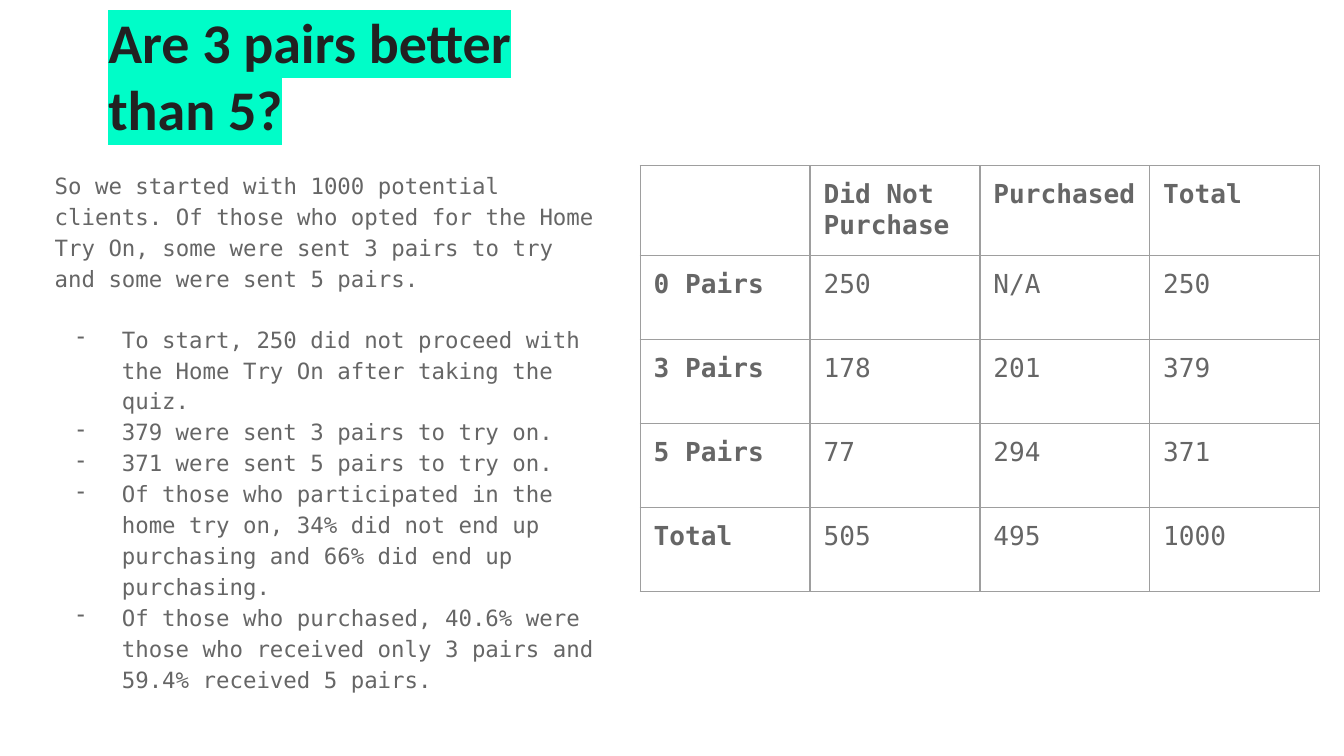
from dataclasses import dataclass

from lxml.etree import SubElement
from pptx import Presentation
from pptx.dml.color import RGBColor
from pptx.enum.text import MSO_ANCHOR as Anchor
from pptx.oxml.ns import qn
from pptx.util import Pt


@dataclass(frozen=True)
class Theme:
    title_font: str = "Calibri"
    body_font: str = "DejaVu Sans Mono"
    title_color: str = "212121"
    highlight: str = "00FDC8"
    text_color: str = "666666"
    border_color: str = "9E9E9E"
    title_size: float = 30
    body_size: float = 12
    table_size: float = 14
    inset: float = 7.2


THEME = Theme()

TITLE = "Are 3 pairs better than 5?"
INTRO = (
    "So we started with 1000 potential clients. Of those who opted for the "
    "Home Try On, some were sent 3 pairs to try and some were sent 5 pairs."
)
FINDINGS = [
    "To start, 250 did not proceed with the Home Try On after taking the quiz.",
    "379 were sent 3 pairs to try on.",
    "371 were sent 5 pairs to try on.",
    "Of those who participated in the home try on, 34% did not end up "
    "purchasing and 66% did end up purchasing.",
    "Of those who purchased, 40.6% were those who received only 3 pairs and "
    "59.4% received 5 pairs.",
]
RESULTS = [
    ["", "Did Not Purchase", "Purchased", "Total"],
    ["0 Pairs", "250", "N/A", "250"],
    ["3 Pairs", "178", "201", "379"],
    ["5 Pairs", "77", "294", "371"],
    ["Total", "505", "495", "1000"],
]


def style_font(paragraph, name, size, color, bold=False):
    font = paragraph.font
    font.name, font.size, font.bold = name, Pt(size), bold
    font.color.rgb = RGBColor.from_string(color)


def set_margins(item):
    """Give a text frame or a table cell the common inset."""
    item.margin_left = item.margin_right = Pt(THEME.inset)
    item.margin_top = item.margin_bottom = Pt(THEME.inset)


def add_color(parent, tag, color):
    element = SubElement(parent, qn(tag))
    SubElement(element, qn("a:srgbClr"), val=color)


def add_text_box(slide, left, top, width, height, anchor=Anchor.TOP):
    box = slide.shapes.add_textbox(Pt(left), Pt(top), Pt(width), Pt(height))
    frame = box.text_frame
    frame.word_wrap = True
    frame.vertical_anchor = anchor
    set_margins(frame)
    return frame


def add_title(slide):
    frame = add_text_box(slide, 51, 23, 240.5, 60, Anchor.BOTTOM)
    paragraph = frame.paragraphs[0]
    run = paragraph.add_run()
    run.text = TITLE
    style_font(paragraph, THEME.title_font, THEME.title_size, THEME.title_color, True)
    add_color(run.font._element, "a:highlight", THEME.highlight)


def add_dash(paragraph):
    properties = paragraph._p.get_or_add_pPr()
    properties.set("marL", str(Pt(36)))
    properties.set("indent", str(Pt(-24)))
    add_color(properties, "a:buClr", THEME.text_color)
    SubElement(properties, qn("a:buChar"), char="-")


def add_body(slide):
    frame = add_text_box(slide, 22.2, 83, 305.5, 304)
    for index, text in enumerate([INTRO, *FINDINGS]):
        paragraph = frame.add_paragraph() if index else frame.paragraphs[0]
        paragraph.text = text
        if index:
            add_dash(paragraph)
        if index == 1:
            paragraph.space_before = Pt(16)
        paragraph.line_spacing = 1.15
        style_font(paragraph, THEME.body_font, THEME.body_size, THEME.text_color)


def add_borders(cell):
    properties = cell._tc.get_or_add_tcPr()
    for tag in ("a:lnL", "a:lnR", "a:lnT", "a:lnB"):
        line = SubElement(properties, qn(tag), w=str(Pt(0.75)))
        add_color(line, "a:solidFill", THEME.border_color)


def add_results_table(slide, left, top, column_width, row_height):
    row_count, column_count = len(RESULTS), len(RESULTS[0])
    table = slide.shapes.add_table(
        row_count, column_count, Pt(left), Pt(top),
        Pt(column_width * column_count), Pt(row_height * row_count),
    ).table
    table.first_row = table.horz_banding = False
    for row_index, row in enumerate(RESULTS):
        for column_index, text in enumerate(row):
            cell = table.cell(row_index, column_index)
            cell.text = text
            set_margins(cell)
            add_borders(cell)
            cell.fill.background()
            # Headings run along the first row and the first column
            is_heading = row_index == 0 or column_index == 0
            style_font(cell.text_frame.paragraphs[0], THEME.body_font,
                       THEME.table_size, THEME.text_color, is_heading)


def main():
    presentation = Presentation()
    presentation.slide_width, presentation.slide_height = Pt(720), Pt(405)
    slide = presentation.slides.add_slide(presentation.slide_layouts[6])

    # Left side: question and findings
    add_title(slide)
    add_body(slide)

    # Right side: purchases by number of pairs
    add_results_table(slide, left=343, top=88.8, column_width=91, row_height=45)

    presentation.save("out.pptx")


if __name__ == "__main__":
    main()
